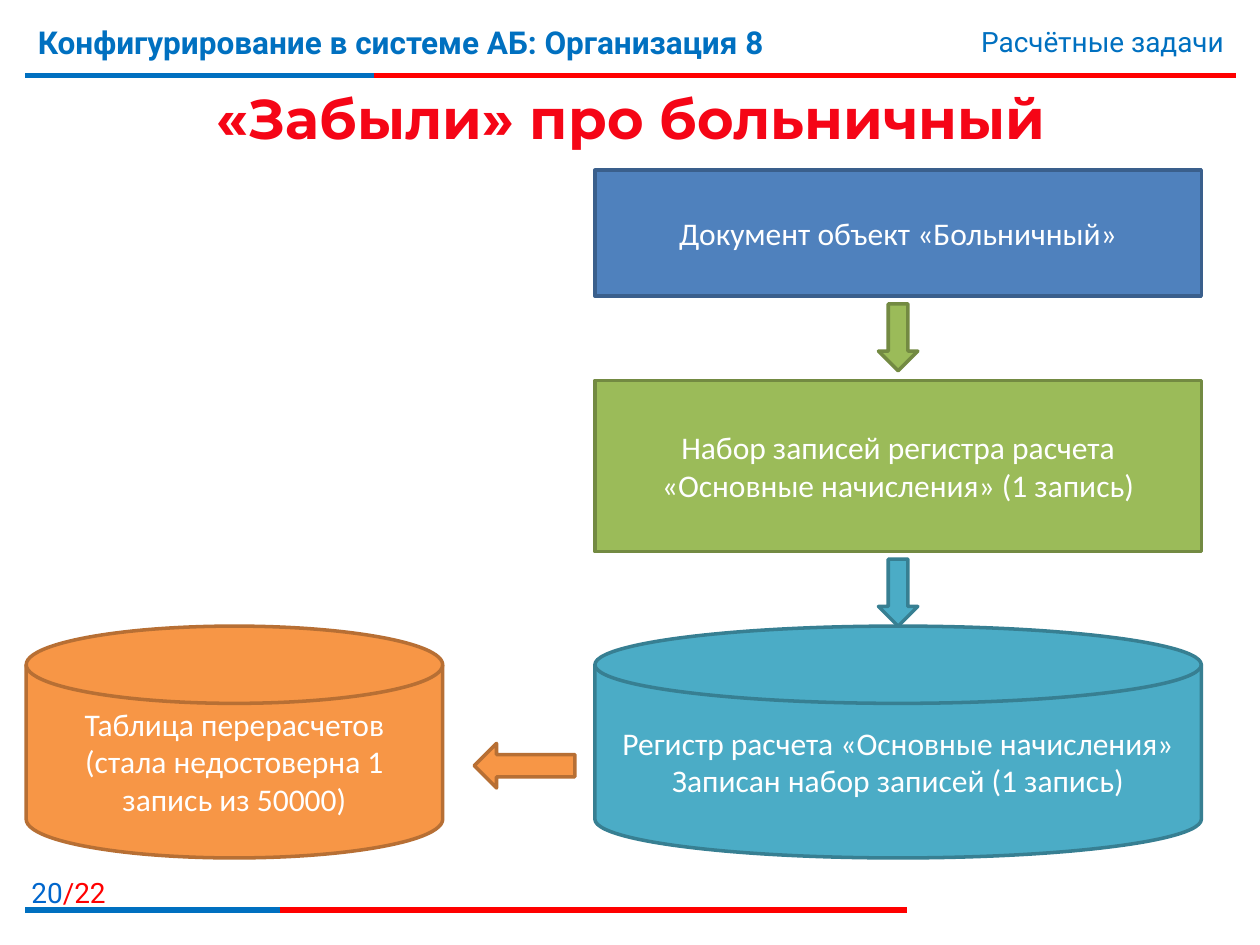
from pptx import Presentation
from pptx.dml.color import RGBColor
from pptx.enum.shapes import MSO_CONNECTOR, MSO_SHAPE
from pptx.enum.text import MSO_ANCHOR, MSO_AUTO_SIZE, PP_ALIGN
from pptx.oxml.ns import qn
from pptx.util import Pt

LEFT, CENTER, RIGHT = PP_ALIGN.LEFT, PP_ALIGN.CENTER, PP_ALIGN.RIGHT
TOP, MIDDLE = MSO_ANCHOR.TOP, MSO_ANCHOR.MIDDLE
NO_FIT = MSO_AUTO_SIZE.NONE
STRAIGHT = MSO_CONNECTOR.STRAIGHT
RECT, DISK = MSO_SHAPE.RECTANGLE, MSO_SHAPE.FLOWCHART_MAGNETIC_DISK
DOWN, BACK = MSO_SHAPE.DOWN_ARROW, MSO_SHAPE.LEFT_ARROW

BLUE, RED, WHITE = "0070C0", "FF0000", "FFFFFF"
DOCUMENT = ("4F81BD", "3A5F8C")
RECORDS = ("9BBB59", "738A42")
REGISTER = ("4BACC6", "377F92")
RECALC = ("F79646", "B76F34")

HEADING = {"name": "Roboto", "size": Pt(18), "bold": True}
PLAIN = {"name": "Roboto", "size": Pt(16), "bold": False}
TITLE = {"name": "Montserrat", "size": Pt(32), "bold": True}
LABEL = {"name": "Calibri", "size": Pt(18), "bold": False}


def color(value):
    return RGBColor.from_string(value)


def place(shape, box):
    for name, value in zip(("left", "top", "width", "height"), box):
        setattr(shape, name, Pt(value))


def write(shape, spans, font, align, anchor=TOP):
    frame = shape.text_frame
    settings = {"word_wrap": True, "auto_size": NO_FIT, "vertical_anchor": anchor}
    for name, value in settings.items():
        setattr(frame, name, value)
    para = frame.paragraphs[0]
    para.alignment = align
    for text, shade in spans:
        for index, line in enumerate(text.split("\n")):
            if index:
                para.add_line_break()
            span = para.add_run()
            span.text = line
            for name, value in font.items():
                setattr(span.font, name, value)
            span.font.color.rgb = color(shade)


def add_text(page, box, spans, font, align):
    shape = page.shapes.add_textbox(*map(Pt, box))
    write(shape, spans, font, align)


def add_rule(page, left, top, width, blue_width):
    for length, shade in ((width, RED), (blue_width, BLUE)):
        line = page.shapes.add_connector(
            STRAIGHT, Pt(left), Pt(top), Pt(left + length), Pt(top))
        line.line.width = Pt(3)
        line.line.color.rgb = color(shade)
        properties = line.element.find(qn("p:spPr"))
        properties.append(properties.makeelement(qn("a:effectLst"), {}))


def add_block(page, kind, box, palette, text=""):
    shape = page.shapes.add_shape(kind, *map(Pt, box))
    fill, border = palette
    shape.shadow.inherit = False
    shape.fill.solid()
    shape.fill.fore_color.rgb = color(fill)
    shape.line.color.rgb = color(border)
    shape.line.width = Pt(2)
    if text:
        write(shape, [(text, WHITE)], LABEL, CENTER, MIDDLE)


def add_header(page, box):
    left, top, width, height = box
    add_rule(page, left, top + height, width, 199)
    add_text(page, (left, top, 533, 45),
             [("Конфигурирование в системе АБ: Организация 8", BLUE)], HEADING, LEFT)
    add_text(page, (left + width - 278, top + 1, 278, 27),
             [("Расчётные задачи", BLUE)], PLAIN, RIGHT)


def add_title(page, box):
    title = page.shapes.title
    place(title, box)
    write(title, [("«Забыли» про больничный", "F50516")], TITLE, CENTER, MIDDLE)


def add_record_flow(page, box):
    left, top, width, height = box
    middle = left + width / 2
    disk_height = 132.5
    disk_top = top + height - disk_height
    add_block(page, RECT, (left, top, width, 72), DOCUMENT,
              "Документ объект «Больничный»")
    add_block(page, RECT, (left, top + 120, width, 98), RECORDS,
              "Набор записей регистра расчета «Основные начисления» (1 запись)")
    add_block(page, DISK, (left, disk_top, width, disk_height), REGISTER,
              "Регистр расчета «Основные начисления»\nЗаписан набор записей (1 запись)")
    for arrow_top, palette in ((top + 76.3, RECORDS), (disk_top - 38.3, REGISTER)):
        add_block(page, DOWN, (middle - 11.25, arrow_top, 22.5, 38.3), palette)


def add_recalculation(page, box):
    left, top, width, height = box
    disk_width = 238
    arrow_width, arrow_height = 57.5, 25.5
    add_block(page, BACK, (left + width - arrow_width, top + 67, arrow_width, arrow_height),
              RECALC)
    add_block(page, DISK, (left, top, disk_width, height), RECALC,
              "Таблица перерасчетов\n(стала недостоверна 1 запись из 50000)")


def add_footer(page, box):
    left, top, width, height = box
    add_text(page, (0, top, 67.5, height), [("20", "0066CC"), ("/22", RED)], PLAIN, RIGHT)
    add_rule(page, left, top + height, width, 145.5)


def main():
    deck = Presentation()
    deck.slide_width, deck.slide_height = Pt(720), Pt(540)
    page = deck.slides.add_slide(deck.slide_layouts[5])
    add_header(page, (14.5, 9.5, 692, 33.5))
    add_title(page, (15, 45.5, 692, 43))
    add_record_flow(page, (340, 97.3, 346.5, 393))
    add_recalculation(page, (15, 357.8, 313.5, 132.5))
    add_footer(page, (14.5, 497, 504, 23))
    deck.save("out.pptx")


if __name__ == "__main__":
    main()
